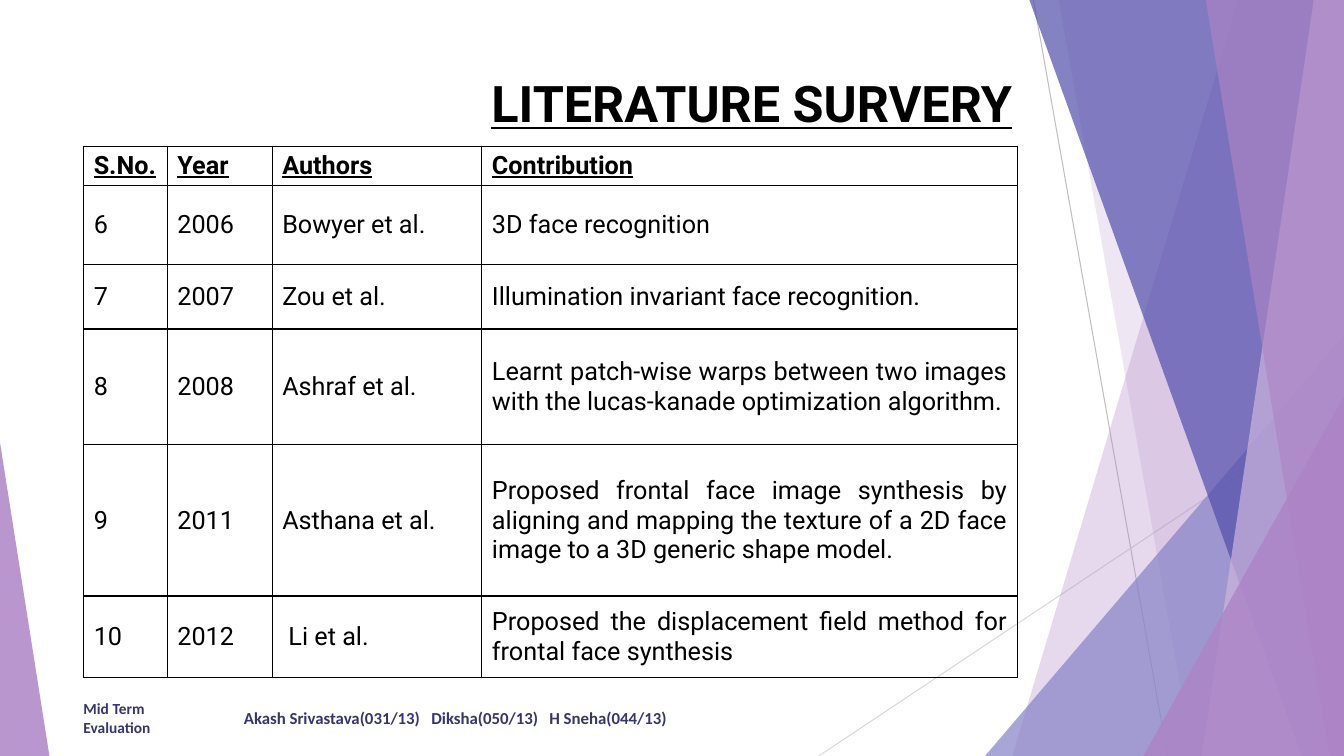
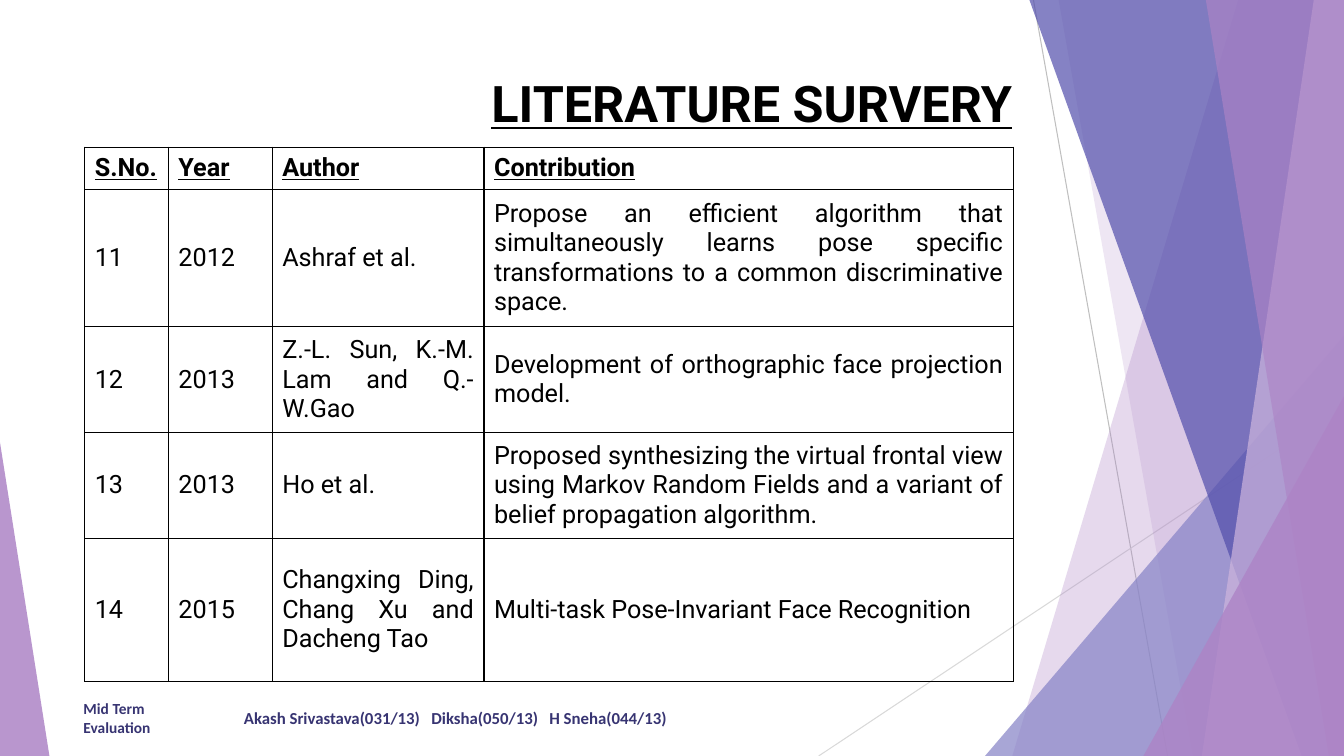
from lxml.etree import SubElement
from pptx import Presentation
from pptx.dml.color import RGBColor
from pptx.enum.shapes import MSO_CONNECTOR, MSO_SHAPE
from pptx.enum.text import MSO_ANCHOR, MSO_AUTO_SIZE, PP_ALIGN
from pptx.oxml.ns import qn
from pptx.util import Inches, Pt

WIDTH, HEIGHT = 13.33, 7.5
LILAC, PALE_LILAC = "AD84C6", "CEB5DD"
PERIWINKLE, INDIGO = "8784C7", "524EAB"
BLACK, NAVY = "000000", "373472"

TITLE_FONT = {"name": "Roboto", "size": Pt(36), "bold": True, "underline": True}
HEADER_FONT = {"name": "Roboto", "size": Pt(18), "bold": True, "underline": True}
BODY_FONT = {"name": "Roboto", "size": Pt(18), "bold": False, "underline": False}
FRAME = {"word_wrap": True, "auto_size": MSO_AUTO_SIZE.NONE}

RAYS = [
    ((10.25, 0), (11.58, HEIGHT), "BFBFBF"),
    ((WIDTH, 4.03), (8.12, HEIGHT), "D9D9D9"),
]
# FACETS_PLACEHOLDER
FACETS = [
    (LILAC, 30, (12.28, 10.04)),
    (LILAC, 20, (10.5, 11.83)),
    (PERIWINKLE, 72, (9.77, 3.33, 3.56, 1)),
    (INDIGO, 70, (10.21, 12.91)),
    (PALE_LILAC, 70, (13.03, 11.92)),
    (LILAC, 65, (11.96, 13.18)),
    (LILAC, 80, (11.34, 3.93, 1.99, 1)),
    (LILAC, 85, (0, 4.39, 0.49, 0)),
]
FOOTERS = [
    (0.73, 1, 11, "Mid Term Evaluation"),
    (2.32, 6.89, 12, "Akash Srivastava(031/13)\tDiksha(050/13)\tH Sneha(044/13)"),
]
FOOTER_TABS = [1.86, 3.03]

SURVEYS = [
    {
        "origin": (0.83, 1.45),
        "columns": [0.83, 1.04, 2.08, 5.31],
        "heights": [0.39, 0.78, 0.64, 1.15, 1.5, 0.81],
        "entries": [
            ("S.No.", "Year", "Authors", "Contribution"),
            ("6", "2006", "Bowyer et al.", "3D face recognition"),
            ("7", "2007", "Zou et al.", "Illumination invariant face recognition."),
            ("8", "2008", "Ashraf et al.",
             "Learnt patch-wise warps between two images with the "
             "lucas-kanade optimization algorithm."),
            ("9", "2011", "Asthana et al.",
             "Proposed frontal face image synthesis by aligning and mapping "
             "the texture of a 2D face image to a 3D generic shape model."),
            ("10", "2012", " Li et al.",
             "Proposed the displacement field method for frontal face synthesis"),
        ],
    },
    {
        "origin": (0.84, 1.46),
        "columns": [0.83, 1.03, 2.1, 5.25],
        "heights": [0.42, 1.36, 1.05, 1.05, 1.42],
        "entries": [
            ("S.No.", "Year", "Author", "Contribution"),
            ("11", "2012", "Ashraf et al.",
             "Propose an efficient algorithm that simultaneously learns pose "
             "specific transformations to a common discriminative space."),
            ("12", "2013", "Z.-L. Sun, K.-M. Lam and Q.-W.Gao",
             "Development of orthographic face projection model."),
            ("13", "2013", "Ho et al.",
             "Proposed synthesizing the virtual frontal view using Markov "
             "Random Fields and a variant of belief propagation algorithm."),
            ("14", "2015", "Changxing Ding, Chang Xu and Dacheng Tao",
             "Multi-task Pose-Invariant Face Recognition"),
        ],
    },
]


def rgb(value):
    return RGBColor.from_string(value)


def write(frame, text, font, color, align):
    frame.text = text
    paragraph = frame.paragraphs[0]
    paragraph.alignment = align
    run_font = paragraph.runs[0].font
    for key, value in font.items():
        setattr(run_font, key, value)
    run_font.color.rgb = rgb(color)
    return paragraph


deck = Presentation()
deck.slide_width, deck.slide_height = Inches(WIDTH), Inches(HEIGHT)

for survey in SURVEYS:
    slide = deck.slides.add_slide(deck.slide_layouts[5])
    shapes = slide.shapes

    for start, end, color in RAYS:
        ray = shapes.add_connector(
            MSO_CONNECTOR.STRAIGHT, *[Inches(n) for n in start + end])
        ray.line.color.rgb = rgb(color)
        ray.line.width = Pt(0.75)
        SubElement(ray._element.spPr, qn("a:effectLst"))

    for color, opacity, outline in FACETS:
        if len(outline) == 2:
            top_x, bottom_x = outline
            corners = [(WIDTH, 0), (WIDTH, HEIGHT), (bottom_x, HEIGHT)]
            builder = shapes.build_freeform(Inches(top_x), 0)
            builder.add_line_segments([(Inches(x), Inches(y)) for x, y in corners])
            facet = builder.convert_to_shape()
        else:
            left, top, width, apex = outline
            facet = shapes.add_shape(
                MSO_SHAPE.ISOSCELES_TRIANGLE, Inches(left), Inches(top),
                Inches(width), Inches(HEIGHT - top))
            facet.adjustments[0] = apex
        facet.shadow.inherit = False
        facet.fill.solid()
        facet.fill.fore_color.rgb = rgb(color)
        tint = facet._element.spPr.find(".//" + qn("a:srgbClr"))
        SubElement(tint, qn("a:alpha"), val=str(opacity * 1000))
        facet.line.fill.background()

    for left, width, size, text in FOOTERS:
        footer = shapes.add_textbox(
            Inches(left), Inches(6.92), Inches(width), Inches(0.4)).text_frame
        for key, value in {**FRAME, "vertical_anchor": MSO_ANCHOR.MIDDLE}.items():
            setattr(footer, key, value)
        font = {"name": "Calibri", "size": Pt(size), "bold": True}
        paragraph = write(footer, text, font, NAVY, PP_ALIGN.LEFT)
        if "\t" in text:
            stops = SubElement(paragraph._p.get_or_add_pPr(), qn("a:tabLst"))
            for stop in FOOTER_TABS:
                SubElement(stops, qn("a:tab"), pos=str(Inches(stop)), algn="l")

    title = shapes.title
    place = {"left": 0.74, "top": 0.67, "width": 9.4, "height": 0.99}
    for key, value in place.items():
        setattr(title, key, Inches(value))
    for key, value in {**FRAME, "vertical_anchor": MSO_ANCHOR.TOP}.items():
        setattr(title.text_frame, key, value)
    write(title.text_frame, "LITERATURE SURVERY", TITLE_FONT, BLACK, PP_ALIGN.RIGHT)

    columns, heights, entries = survey["columns"], survey["heights"], survey["entries"]
    left, top = survey["origin"]
    table = shapes.add_table(
        len(heights), len(columns), Inches(left), Inches(top),
        Inches(sum(columns)), Inches(sum(heights))).table
    table.first_row = table.horz_banding = False
    for column, width in zip(table.columns, columns):
        column.width = Inches(width)
    for row, height in zip(table.rows, heights):
        row.height = Inches(height)

    for row_number, entry in enumerate(entries):
        font = BODY_FONT if row_number else HEADER_FONT
        for column_number, text in enumerate(entry):
            cell = table.cell(row_number, column_number)
            write(cell.text_frame, text, font, BLACK, PP_ALIGN.JUSTIFY)
            cell.vertical_anchor = MSO_ANCHOR.MIDDLE
            for side in ("a:lnL", "a:lnR", "a:lnT", "a:lnB"):
                border = SubElement(
                    cell._tc.get_or_add_tcPr(), qn(side), w=str(Pt(1)))
                paint = SubElement(border, qn("a:solidFill"))
                SubElement(paint, qn("a:srgbClr"), val=BLACK)
            cell.fill.background()

deck.save("out.pptx")
